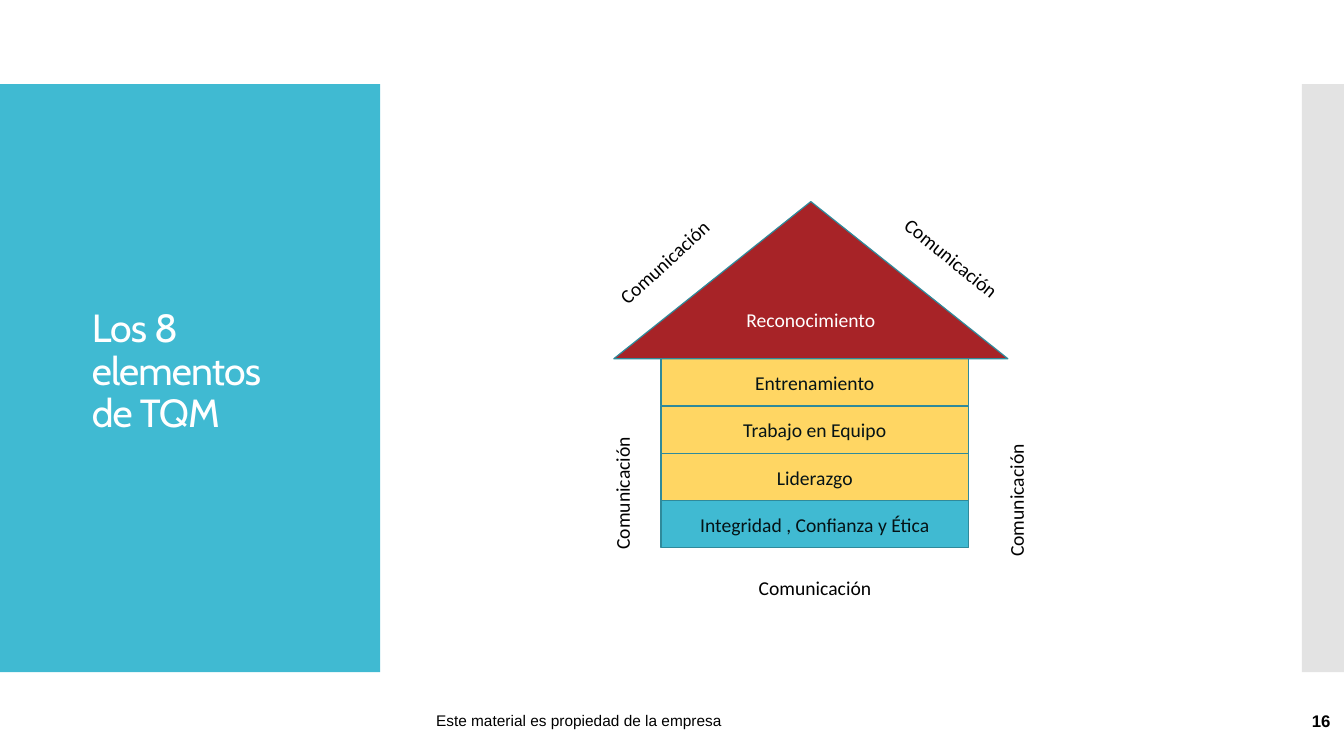
from pptx import Presentation
from pptx.dml.color import RGBColor
from pptx.enum.shapes import MSO_SHAPE as Preset
from pptx.enum.text import MSO_ANCHOR as Anchor, MSO_AUTO_SIZE as AutoSize, PP_ALIGN as Align
from pptx.oxml.ns import qn
from pptx.util import Cm, Pt
from lxml.etree import SubElement

TEAL = RGBColor(0x40, 0xBA, 0xD2)
DARK_TEAL = RGBColor(0x2F, 0x8A, 0x9B)
YELLOW = RGBColor(0xFF, 0xD6, 0x63)
RED = RGBColor(0xA7, 0x23, 0x27)
GREY = RGBColor(0xC8, 0xC8, 0xC8)
INK = RGBColor(0x05, 0x13, 0x16)
BLACK = RGBColor(0, 0, 0)
WHITE = RGBColor(0xFF, 0xFF, 0xFF)

HOUSE_FONT = {"name": "Calibri", "size": Pt(14)}
HOUSE_PARAGRAPH = {"alignment": Align.CENTER, "line_spacing": 1.05}

PANEL_TOP, PANEL_HEIGHT = 2.12, 14.82
FOOTER_TOP, FOOTER_HEIGHT = 17.65, 1.02
FLOOR_LEFT, FLOOR_WIDTH, FLOOR_HEIGHT = 16.66, 7.75, 1.19
ROOF_BOTTOM = 9.04
LABEL_WIDTH, LABEL_HEIGHT = 5.56, 1.19

FLOORS = [
    ("Entrenamiento", YELLOW),
    ("Trabajo en Equipo", YELLOW),
    ("Liderazgo", YELLOW),
    ("Integridad , Confianza y Ética", TEAL),
]
# Centre x, centre y and rotation of each label around the house
COMMUNICATION_LABELS = [
    (20.54, 14.8, 0),
    (25.59, 12.61, 270),
    (15.66, 12.43, 270),
    (23.99, 6.49, 39.2),
    (16.73, 6.59, 317.5),
]


def set_attributes(target, values):
    for key, value in values.items():
        setattr(target, key, value)


def write_text(holder, text, color, font, paragraph_format):
    frame = holder.text_frame
    set_attributes(frame, {"text": text, "word_wrap": True,
                           "auto_size": AutoSize.NONE,
                           "vertical_anchor": Anchor.MIDDLE})
    paragraph = frame.paragraphs[0]
    set_attributes(paragraph, paragraph_format)
    run = paragraph.runs[0]
    set_attributes(run.font, font)
    run.font.color.rgb = color
    return run


def add_block(slide, preset, box, color, outline=None):
    block = slide.shapes.add_shape(preset, *map(Cm, box))
    block.shadow.inherit = False
    block.fill.solid()
    block.fill.fore_color.rgb = color
    if outline is None:
        block.line.fill.background()
    else:
        block.line.color.rgb = outline
        block.line.width = Pt(0.85)
    return block


def add_label(slide, text, box, font, paragraph_format, rotation=0):
    label = slide.shapes.add_textbox(*map(Cm, box))
    write_text(label, text, BLACK, font, paragraph_format)
    label.rotation = rotation


def add_side_panels(slide):
    add_block(slide, Preset.RECTANGLE, (0, PANEL_TOP, 9.58, PANEL_HEIGHT), TEAL)
    edge = add_block(slide, Preset.RECTANGLE,
                     (32.81, PANEL_TOP, 1.06, PANEL_HEIGHT), GREY)
    rgb = next(edge.fill._xPr.iter(qn("a:srgbClr")))
    SubElement(rgb, qn("a:alpha"), val="50000")


def place_title(slide):
    title = slide.shapes.title
    set_attributes(title, {"left": Cm(2.06), "top": Cm(7.37),
                           "width": Cm(5.46), "height": Cm(4.04)})
    run = write_text(title, "Los 8 elementos de TQM", WHITE,
                     {"name": "Cabin", "size": Pt(28)},
                     {"alignment": Align.LEFT, "line_spacing": 0.9})
    run.font._element.set("spc", "-60")
    # Bring the title in front of the panels
    slide.shapes._spTree.append(title._element)


def add_footer(slide):
    add_label(slide, "Este material es propiedad de la empresa",
              (10.74, FOOTER_TOP, 16.41, FOOTER_HEIGHT),
              {"name": "Arial", "size": Pt(11)}, {"alignment": Align.LEFT})
    add_label(slide, "16", (29.54, FOOTER_TOP, 4.24, FOOTER_HEIGHT),
              {"name": "Arial", "size": Pt(12), "bold": True},
              {"alignment": Align.RIGHT})


def add_house(slide):
    for level, (text, color) in reversed(list(enumerate(FLOORS))):
        box = (FLOOR_LEFT, ROOF_BOTTOM + level * FLOOR_HEIGHT,
               FLOOR_WIDTH, FLOOR_HEIGHT)
        floor = add_block(slide, Preset.RECTANGLE, box, color, DARK_TEAL)
        write_text(floor, text, INK, HOUSE_FONT, HOUSE_PARAGRAPH)
    roof = add_block(slide, Preset.ISOSCELES_TRIANGLE,
                     (15.47, 5.08, 9.93, ROOF_BOTTOM - 5.08), RED, DARK_TEAL)
    write_text(roof, "Reconocimiento", WHITE, HOUSE_FONT, HOUSE_PARAGRAPH)


def add_communication_labels(slide):
    for x, y, rotation in COMMUNICATION_LABELS:
        box = (x - LABEL_WIDTH / 2, y - LABEL_HEIGHT / 2, LABEL_WIDTH, LABEL_HEIGHT)
        add_label(slide, "Comunicación", box, HOUSE_FONT, HOUSE_PARAGRAPH, rotation)


def main():
    deck = Presentation()
    set_attributes(deck, {"slide_width": Cm(33.87), "slide_height": Cm(19.05)})
    title_only = deck.slide_layouts[5]
    slide = deck.slides.add_slide(title_only)
    add_side_panels(slide)
    place_title(slide)
    add_footer(slide)
    add_house(slide)
    add_communication_labels(slide)
    deck.save("out.pptx")


if __name__ == "__main__":
    main()
